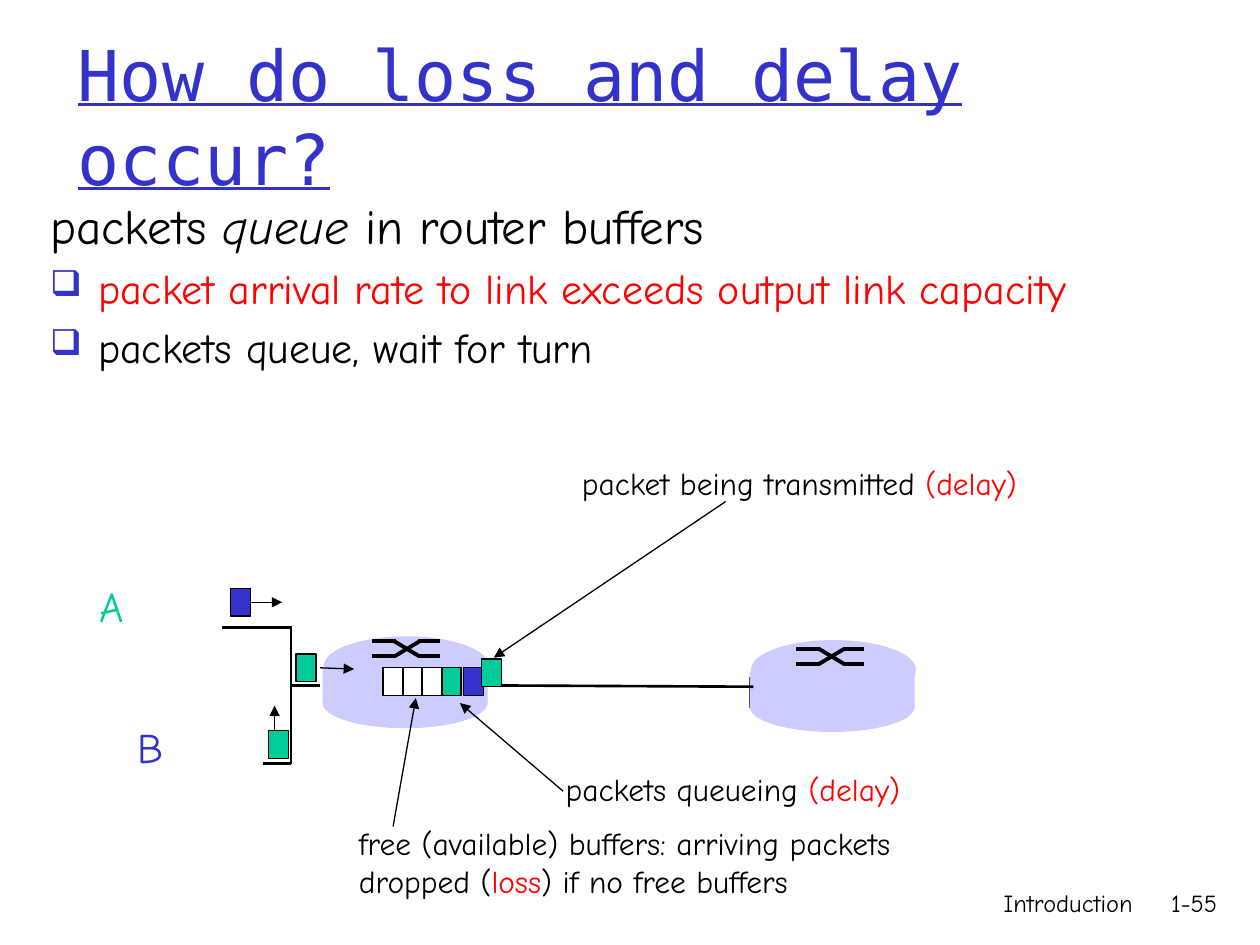
from dataclasses import dataclass
from typing import NamedTuple

from lxml.etree import SubElement
from pptx import Presentation
from pptx.dml.color import RGBColor
from pptx.enum.shapes import MSO_CONNECTOR, MSO_SHAPE
from pptx.enum.text import MSO_ANCHOR, MSO_AUTO_SIZE, PP_ALIGN
from pptx.oxml.ns import qn
from pptx.util import Inches, Pt


@dataclass(frozen=True)
class Theme:
    ink: str = "000000"
    blue: str = "3333CC"
    green: str = "00CC99"
    red: str = "FF0000"
    white: str = "FFFFFF"
    router: str = "CCCCFF"
    font: str = "Comic Neue"
    title_font: str = "DejaVu Sans Mono"
    title: int = 40
    lead: int = 28
    body: int = 24
    label: int = 18
    footer: int = 14


THEME = Theme()


class Span(NamedTuple):
    text: str
    color: str = THEME.ink
    italic: bool = False


class Packet(NamedTuple):
    left: float
    top: float
    color: str


class Router(NamedTuple):
    left: float
    top: float
    switch_left: float
    switch_top: float


class Line(NamedTuple):
    x1: float
    y1: float
    x2: float
    y2: float


class Label(NamedTuple):
    left: float
    top: float
    width: float
    height: float
    size: int
    paras: list


ROUTERS = [Router(2.56, 5.05, 2.95, 5.09), Router(5.95, 5.08, 6.32, 5.15)]
LINKS = [
    Line(1.76, 4.98, 2.31, 4.98),
    Line(2.09, 6.06, 2.31, 6.06),
    Line(2.31, 4.97, 2.31, 6.06),
    Line(2.32, 5.44, 2.54, 5.44),
    Line(3.86, 5.44, 5.98, 5.45),
]
PACKETS = [
    Packet(3.5, 5.3, THEME.green),
    Packet(3.68, 5.3, THEME.blue),
    Packet(3.82, 5.23, THEME.green),
    Packet(2.35, 5.19, THEME.green),
    Packet(2.13, 5.8, THEME.green),
    *[Packet(left, 5.3, THEME.white) for left in (3.35, 3.19, 3.04)],
]
ARROWS = [
    Line(2.54, 5.3, 2.81, 5.31),
    Line(2.18, 5.8, 2.18, 5.6),
    Line(5.76, 3.98, 3.92, 5.22),
    Line(4.47, 6.28, 3.65, 5.58),
    Line(3.12, 6.56, 3.3, 5.54),
]
LABELS = [
    Label(0.69, 4.56, 0.44, 0.5, THEME.body, [[Span("A", THEME.green)]]),
    Label(0.99, 5.68, 0.41, 0.5, THEME.body, [[Span("B", THEME.blue)]]),
    Label(4.52, 3.63, 4.02, 0.4, THEME.label,
          [[Span("packet being transmitted "), Span("(delay)", THEME.red)]]),
    Label(4.39, 6.06, 3.05, 0.4, THEME.label,
          [[Span("packets queueing"), Span(" (delay)", THEME.red)]]),
    Label(2.75, 6.49, 5.05, 0.7, THEME.label,
          [[Span("free (available) buffers: arriving packets")],
           [Span("dropped ("), Span("loss", THEME.red), Span(") if no free buffers")]]),
]


def add_text(page, left: float, top: float, width: float, height: float, paras: list, *,
             size: float, font: str = THEME.font, align=PP_ALIGN.LEFT,
             anchor=MSO_ANCHOR.TOP, underline: bool = False, wrap: bool = True):
    box = page.shapes.add_textbox(Inches(left), Inches(top), Inches(width), Inches(height))
    frame = box.text_frame
    frame.word_wrap = wrap
    frame.vertical_anchor = anchor
    if not wrap:
        frame.auto_size = MSO_AUTO_SIZE.SHAPE_TO_FIT_TEXT
    for index, spans in enumerate(paras):
        para = frame.paragraphs[0] if index == 0 else frame.add_paragraph()
        para.alignment = align
        for span in spans:
            run = para.add_run()
            run.text = span.text
            run.font.name = font
            run.font.size = Pt(size)
            run.font.italic = span.italic
            run.font.underline = underline
            run.font.color.rgb = RGBColor.from_string(span.color)
    return frame


def add_bullet(para) -> None:
    props = para._p.get_or_add_pPr()
    props.set("marL", str(Inches(0.38)))
    props.set("indent", str(-Inches(0.38)))
    color = SubElement(props, qn("a:buClr"))
    SubElement(color, qn("a:srgbClr"), val=THEME.blue)
    SubElement(props, qn("a:buSzPct"), val="85000")
    SubElement(props, qn("a:buChar"), char="❑")


def add_block(page, kind, left: float, top: float, width: float, height: float,
              color: str, outlined: bool = False):
    block = page.shapes.add_shape(kind, Inches(left), Inches(top), Inches(width), Inches(height))
    block.shadow.inherit = False
    block.fill.solid()
    block.fill.fore_color.rgb = RGBColor.from_string(color)
    if outlined:
        block.line.color.rgb = RGBColor.from_string(THEME.ink)
        block.line.width = Pt(0.75)
    else:
        block.line.fill.background()
    return block


def add_line(page, line: Line, weight: float, arrow: bool = False):
    connector = page.shapes.add_connector(MSO_CONNECTOR.STRAIGHT, *map(Inches, line))
    connector.line.color.rgb = RGBColor.from_string(THEME.ink)
    connector.line.width = Pt(weight)
    if arrow:
        SubElement(connector.line._get_or_add_ln(), qn("a:tailEnd"), type="triangle")
    SubElement(connector._element.spPr, qn("a:effectLst"))
    return connector


def add_packet(page, packet: Packet):
    return add_block(page, MSO_SHAPE.RECTANGLE, packet.left, packet.top, 0.16, 0.22,
                     packet.color, outlined=True)


def add_router(page, router: Router) -> None:
    """Draw a cylinder and, on its top, the crossed lines of a switch."""
    left, top, x, y = router
    add_block(page, MSO_SHAPE.OVAL, left, top + 0.33, 1.31, 0.4, THEME.router)
    add_block(page, MSO_SHAPE.RECTANGLE, left, top + 0.25, 1.31, 0.29, THEME.router)
    add_block(page, MSO_SHAPE.OVAL, left + 0.01, top, 1.31, 0.47, THEME.router)
    for start, end in ((y, y + 0.12), (y + 0.12, y)):
        add_line(page, Line(x, start, x + 0.19, start), 2.25)
        add_line(page, Line(x + 0.18, start, x + 0.38, end), 2.25)
        add_line(page, Line(x + 0.37, end, x + 0.54, end), 2.25)


def main() -> None:
    deck = Presentation()
    deck.slide_width, deck.slide_height = Inches(10), Inches(7.5)
    page = deck.slides.add_slide(deck.slide_layouts[6])

    for text, left, width in (("Introduction", 5.92, 3.17), ("1-55", 9.08, 0.68)):
        add_text(page, left, 7, width, 0.5, [[Span(text)]], size=THEME.footer,
                 align=PP_ALIGN.RIGHT)
    add_text(page, 0.52, 0.29, 8.5, 1.25, [[Span("How do loss and delay occur?", THEME.blue)]],
             size=THEME.title, font=THEME.title_font, anchor=MSO_ANCHOR.MIDDLE, underline=True)
    body = add_text(page, 0.3, 1.5, 9.24, 2.31, [
        [Span("packets "), Span("queue", italic=True), Span(" in router buffers")],
        [Span("packet arrival rate to link exceeds output link capacity", THEME.red)],
        [Span("packets queue, wait for turn")],
    ], size=THEME.body)
    lead, *points = body.paragraphs
    for run in lead.runs:
        run.font.size = Pt(THEME.lead)
    for para in points:
        para.space_before = Pt(5)
        add_bullet(para)

    add_line(page, Line(5.95, 5.37, 5.95, 5.62), 1)
    for router in ROUTERS:
        add_router(page, router)
    for link in LINKS:
        add_line(page, link, 1.5)
    for packet in PACKETS:
        add_packet(page, packet)
    for arrow in ARROWS:
        add_line(page, arrow, 0.75, arrow=True)
    sent = add_packet(page, Packet(1.83, 4.67, THEME.blue))
    add_line(page, Line(1.99, 4.78, 2.24, 4.78), 0.75, arrow=True).begin_connect(sent, 3)
    for label in LABELS:
        add_text(page, label.left, label.top, label.width, label.height, label.paras,
                 size=label.size, wrap=False)
    deck.save("out.pptx")


if __name__ == "__main__":
    main()
